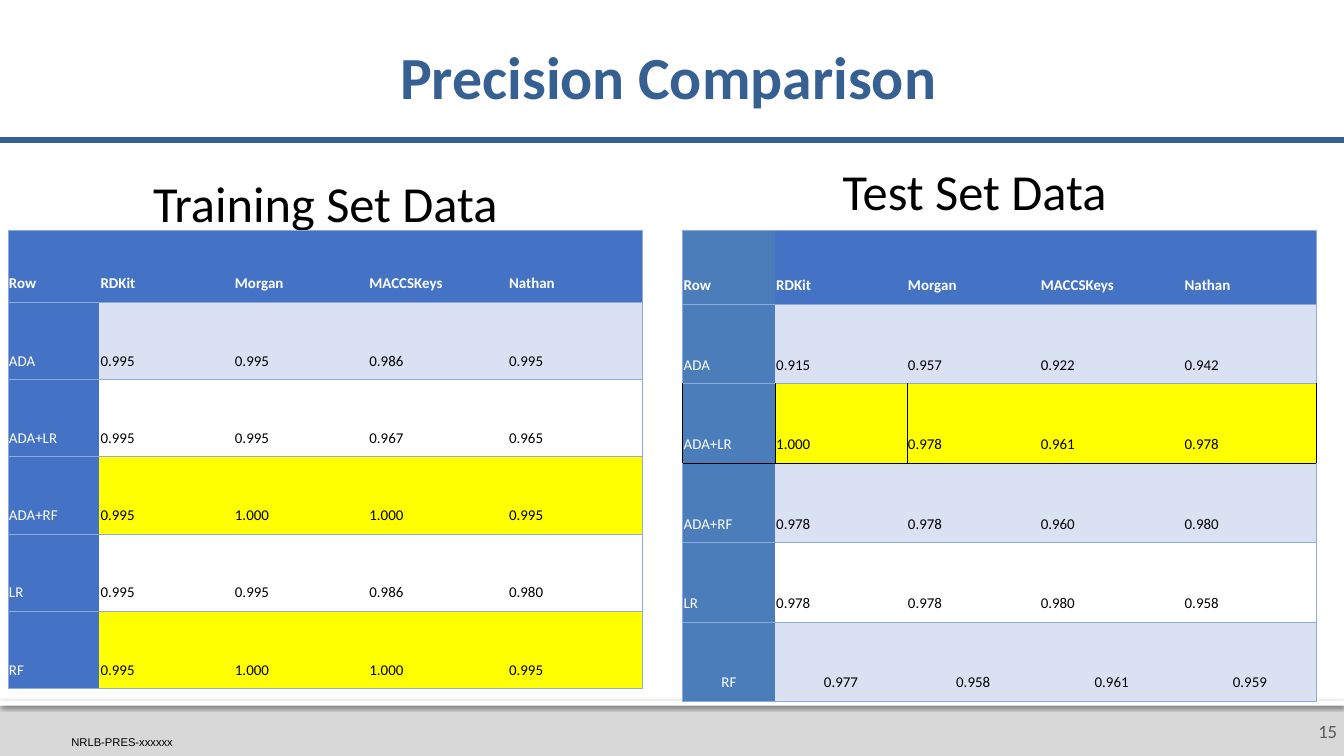
from lxml import etree
from pptx import Presentation
from pptx.dml.color import RGBColor
from pptx.enum.shapes import MSO_CONNECTOR, MSO_SHAPE
from pptx.enum.text import MSO_ANCHOR, PP_ALIGN
from pptx.oxml.ns import qn
from pptx.util import Cm, Pt

LEFT, MID, RIGHT = PP_ALIGN.LEFT, PP_ALIGN.CENTER, PP_ALIGN.RIGHT
TOP, CENTER, BOTTOM = MSO_ANCHOR.TOP, MSO_ANCHOR.MIDDLE, MSO_ANCHOR.BOTTOM
RECT, LINE = MSO_SHAPE.RECTANGLE, MSO_CONNECTOR.STRAIGHT

NAVY, BLUE, STEEL, PALE = "366092", "4472C4", "4A7DBA", "D9E1F2"
YELLOW, EDGE, BLACK, WHITE = "FFFF00", "8EA9DB", "000000", "FFFFFF"
PLAIN = "{2D5ABB26-0587-4C30-8999-92F81FD0307C}"
WIDE, HIGH = 25.4, 14.28

HEADS = ["Row", "RDKit", "Morgan", "MACCSKeys", "Nathan"]
TRAIN = [
    ["ADA", "0.995", "0.995", "0.986", "0.995"],
    ["ADA+LR", "0.995", "0.995", "0.967", "0.965"],
    ["ADA+RF", "0.995", "1.000", "1.000", "0.995"],
    ["LR", "0.995", "0.995", "0.986", "0.980"],
    ["RF", "0.995", "1.000", "1.000", "0.995"],
]
TEST = [
    ["ADA", "0.915", "0.957", "0.922", "0.942"],
    ["ADA+LR", "1.000", "0.978", "0.961", "0.978"],
    ["ADA+RF", "0.978", "0.978", "0.960", "0.980"],
    ["LR", "0.978", "0.978", "0.980", "0.958"],
    ["RF", "0.977", "0.958", "0.961", "0.959"],
]


def paint(color, value):
    color.rgb = RGBColor.from_string(value)


def write(frame, text, size=8, color=BLACK, bold=False, font="Calibri",
          align=LEFT, space=None):
    para = frame.paragraphs[0]
    para.alignment = align
    if space:
        para.line_spacing = space
    run = para.add_run()
    run.text = text
    run.font.size = Pt(size)
    run.font.name = font
    run.font.bold = bold
    paint(run.font.color, color)


def inset(item, left, top, right, bottom):
    item.margin_left, item.margin_top = Cm(left), Cm(top)
    item.margin_right, item.margin_bottom = Cm(right), Cm(bottom)


def label(slide, box, text, pads, anchor=TOP, **style):
    frame = slide.shapes.add_textbox(*map(Cm, box)).text_frame
    frame.word_wrap = True
    frame.vertical_anchor = anchor
    inset(frame, *pads)
    write(frame, text, **style)


def bar(slide, box, color):
    shape = slide.shapes.add_shape(RECT, *map(Cm, box))
    shape.shadow.inherit = False
    shape.fill.solid()
    paint(shape.fill.fore_color, color)
    shape.line.fill.background()
    return shape


def shade(shape):
    effects = shape._element.spPr.find(qn("a:effectLst"))
    shadow = etree.SubElement(effects, qn("a:outerShdw"), blurRad=str(Pt(2.5)),
                              dist=str(Pt(0.8)), dir="5400000", rotWithShape="0")
    tint = etree.SubElement(shadow, qn("a:srgbClr"), val=BLACK)
    etree.SubElement(tint, qn("a:alpha"), val="60000")


def border(cell, sides):
    props = cell._tc.get_or_add_tcPr()
    for spot, side in enumerate("LRTB"):
        line = etree.Element(qn("a:ln" + side), w=str(Pt(0.5)))
        if side in sides:
            fill = etree.SubElement(line, qn("a:solidFill"))
            etree.SubElement(fill, qn("a:srgbClr"), val=sides[side])
        else:
            etree.SubElement(line, qn("a:noFill"))
        props.insert(spot, line)


def edges(row, col, last, boxed):
    sides = {"T": BLACK if row - 1 in boxed else EDGE,
             "B": BLACK if row in boxed else EDGE}
    ink = BLACK if row in boxed else EDGE
    if col == 0:
        sides["L"] = ink
    if col == last:
        sides["R"] = ink
    if row in boxed and col in (1, 2):
        sides["L"] = BLACK
    if row in boxed and col in (0, 1):
        sides["R"] = BLACK
    return sides


def scores(slide, left, top, cols, head, step, data, side, corner,
           marks, boxed=(), mids=()):
    rows = [HEADS] + data
    high = head + step * len(data)
    box = map(Cm, (left, top, sum(cols), high))
    table = slide.shapes.add_table(len(rows), len(cols), *box).table
    table.first_row = table.horz_banding = False
    table._tbl.tblPr.find(qn("a:tableStyleId")).text = PLAIN
    for col, width in zip(table.columns, cols):
        col.width = Cm(width)
    for r, values in enumerate(rows):
        table.rows[r].height = Cm(step if r else head)
        for c, value in enumerate(values):
            cell = table.cell(r, c)
            cell.vertical_anchor = BOTTOM
            inset(cell, 0.02, 0.02, 0.02, 0.18)
            body = r > 0 and c > 0
            write(cell.text_frame, value, color=BLACK if body else WHITE,
                  bold=r == 0, align=MID if r in mids else LEFT,
                  space=1.15 if body else None)
            if not body:
                tone = (side if r else corner) if c == 0 else BLUE
            elif r in marks:
                tone = YELLOW
            else:
                tone = PALE if r % 2 else None
            if tone:
                cell.fill.solid()
                paint(cell.fill.fore_color, tone)
            else:
                cell.fill.background()
            border(cell, edges(r, c, len(cols) - 1, boxed))


def header(slide, left, top, width, height):
    title = slide.shapes.title
    title.left, title.top = Cm(left), Cm(top)
    title.width, title.height = Cm(width), Cm(height)
    frame = title.text_frame
    frame.vertical_anchor = CENTER
    inset(frame, 0, 0.13, 0.13, 0.13)
    write(frame, "Precision Comparison", size=32, color=NAVY, bold=True,
          align=MID, space=0.9)
    level = Cm(top + height + 0.07)
    rule = slide.shapes.add_connector(LINE, Cm(left), level,
                                      Cm(left + width), level)
    paint(rule.line.color, NAVY)
    rule.line.width = Pt(3)
    etree.SubElement(rule._element.spPr, qn("a:effectLst"))


def footer(slide, left, top, width, height):
    bar(slide, (left, top, width, height), "D8D8D8")
    shade(bar(slide, (left, top, width, 0.1), WHITE))
    label(slide, (left + width - 0.89, top + 0.1, 0.89, 0.94), "15",
          (0.25, 0.13, 0.13, 0.13), CENTER, size=10, color="595959",
          align=RIGHT)
    label(slide, (left + 1.35, top + 0.71, 2.44, 0.2), "NRLB-PRES-xxxxxx",
          (0, 0, 0, 0), BOTTOM, size=6, font="Arial")


def main():
    deck = Presentation()
    deck.slide_width, deck.slide_height = Cm(WIDE), Cm(HIGH)
    slide = deck.slides.add_slide(deck.slide_layouts[5])
    footer(slide, 0, 13.23, WIDE, HIGH - 13.23)
    header(slide, 0, 0.46, WIDE, 2.11)
    for left, top, text in ((13.72, 2.77, "Test Set Data"),
                            (1.45, 3, "Training Set Data")):
        label(slide, (left, top, 9.4, 1.35), text, [0.25] * 4,
              size=27, align=MID)
    scores(slide, 0.15, 4.35, [1.73, 2.54, 2.54, 2.64, 2.54], 1.36, 1.46,
           TRAIN, BLUE, BLUE, marks=(3, 5))
    scores(slide, 12.9, 4.36, [1.75, 2.49, 2.51, 2.72, 2.51], 1.39, 1.5,
           TEST, STEEL, STEEL, marks=(2,), boxed=(2,), mids=(5,))
    deck.save("out.pptx")


if __name__ == "__main__":
    main()
